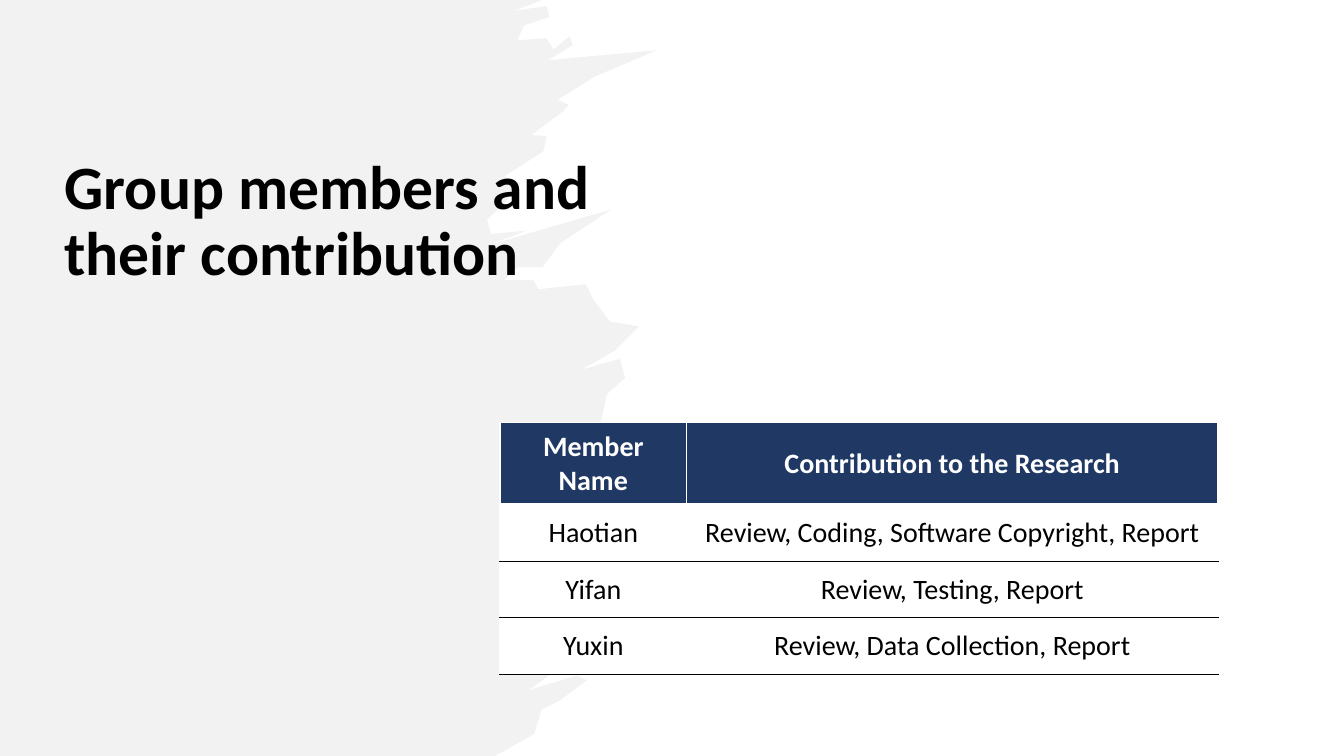
from dataclasses import dataclass

from lxml.etree import SubElement
from pptx import Presentation
from pptx.dml.color import RGBColor
from pptx.enum.text import MSO_ANCHOR as Anchor, MSO_AUTO_SIZE as AutoSize, PP_ALIGN as Align
from pptx.oxml import parse_xml
from pptx.oxml.ns import nsdecls, qn
from pptx.util import Emu, Pt

EMU_PER_PX = 9144


@dataclass(frozen=True)
class Theme:
    font: str = "Calibri"
    title_size: int = 44
    table_size: int = 20
    black: str = "000000"
    white: str = "FFFFFF"
    navy: str = "203864"
    brush: str = "E7E6E6"
    brush_opacity: int = 50


THEME = Theme()

TITLE = "Group members and their contribution"
MEMBERS = [
    ("Member Name", "Contribution to the Research"),
    ("Haotian", "Review, Coding, Software Copyright, Report"),
    ("Yifan", "Review, Testing, Report"),
    ("Yuxin", "Review, Data Collection, Report"),
]
COLUMN_WIDTHS = [185, 527]
ROW_HEIGHTS = [82, 56, 56, 56]

BRUSH_OUTLINE = [
    (538, 0), (0, 0), (0, 750), (491, 750), (530, 728), (537, 704), (555, 695),
    (582, 675), (572, 670), (524, 685), (553, 664), (595, 423), (602, 391),
    (620, 375), (615, 356), (576, 367), (610, 348), (634, 324), (605, 319),
    (589, 298), (581, 282), (534, 287), (529, 278), (500, 278), (513, 265),
    (538, 265), (556, 241), (606, 208), (485, 243), (522, 229), (487, 232),
    (483, 218), (499, 203), (516, 182), (500, 175), (539, 150), (542, 135),
    (527, 134), (559, 110), (564, 104), (553, 99), (590, 76), (651, 50),
    (584, 56), (543, 60), (568, 45), (565, 36), (549, 49), (542, 38),
    (513, 40), (520, 25), (545, 17), (542, 6), (509, 11),
]


def px(length):
    return Emu(round(length * EMU_PER_PX))


def rgb(color):
    return RGBColor.from_string(color)


def style_font(font, size, color, bold):
    font.name = THEME.font
    font.size = Pt(size)
    font.color.rgb = rgb(color)
    font.bold = bold


def add_brush(page):
    start, *others = BRUSH_OUTLINE
    builder = page.shapes.build_freeform(*start, scale=EMU_PER_PX)
    builder.add_line_segments(others, close=True)
    brush = builder.convert_to_shape()
    brush.shadow.inherit = False
    brush.line.fill.background()
    brush.fill.solid()
    brush.fill.fore_color.rgb = rgb(THEME.brush)
    color = next(brush._element.spPr.iter(qn("a:srgbClr")))
    SubElement(color, qn("a:alpha"), val=str(THEME.brush_opacity * 1000))


def set_title(page, text, left, top, width, height):
    title = page.shapes.title
    title.left, title.top, title.width, title.height = map(px, (left, top, width, height))
    frame = title.text_frame
    frame.text = text
    frame.word_wrap = True
    frame.auto_size = AutoSize.NONE
    frame.vertical_anchor = Anchor.BOTTOM
    para = frame.paragraphs[0]
    para.alignment = Align.LEFT
    para.line_spacing = 0.9
    style_font(para.font, THEME.title_size, THEME.black, True)


def set_borders(cell, top, bottom):
    """Draw white sides, and a top and bottom given as (color, points)."""
    side = (THEME.white, 1)
    borders = {"lnL": side, "lnR": side, "lnT": top, "lnB": bottom}
    properties = cell._tc.get_or_add_tcPr()
    for index, (tag, (color, width)) in enumerate(borders.items()):
        properties.insert(index, parse_xml(
            f'<a:{tag} {nsdecls("a")} w="{Pt(width)}"><a:solidFill>'
            f'<a:srgbClr val="{color}"/></a:solidFill></a:{tag}>'))


def fill_cell(cell, text, is_header):
    cell.text = text
    cell.vertical_anchor = Anchor.MIDDLE
    cell.margin_left = cell.margin_right = px(11)
    cell.margin_top = cell.margin_bottom = px(6)
    cell.fill.solid()
    cell.fill.fore_color.rgb = rgb(THEME.navy if is_header else THEME.white)
    para = cell.text_frame.paragraphs[0]
    para.alignment = Align.CENTER
    style_font(para.font, THEME.table_size, THEME.white if is_header else THEME.black, is_header)


def add_member_table(page, left, top):
    size = px(sum(COLUMN_WIDTHS)), px(sum(ROW_HEIGHTS))
    table = page.shapes.add_table(
        len(MEMBERS), len(COLUMN_WIDTHS), px(left), px(top), *size).table
    table.horz_banding = False
    for column, width in zip(table.columns, COLUMN_WIDTHS):
        column.width = px(width)
    for row, height in zip(table.rows, ROW_HEIGHTS):
        row.height = px(height)
    header_rule, member_rule = (THEME.white, 3), (THEME.black, 1)
    above = (THEME.white, 1)
    for row_index, texts in enumerate(MEMBERS):
        is_header = row_index == 0
        below = header_rule if is_header else member_rule
        for column_index, text in enumerate(texts):
            cell = table.cell(row_index, column_index)
            fill_cell(cell, text, is_header)
            set_borders(cell, above, below)
        above = below


def main():
    deck = Presentation()
    deck.slide_width, deck.slide_height = px(1333), px(750)
    page = deck.slides.add_slide(deck.slide_layouts[5])
    add_brush(page)
    set_title(page, TITLE, 54, 82, 627, 210)
    # The title lies above the brush stroke.
    page.shapes._spTree.append(page.shapes.title._element)
    add_member_table(page, 496, 419)
    deck.save("out.pptx")


if __name__ == "__main__":
    main()
